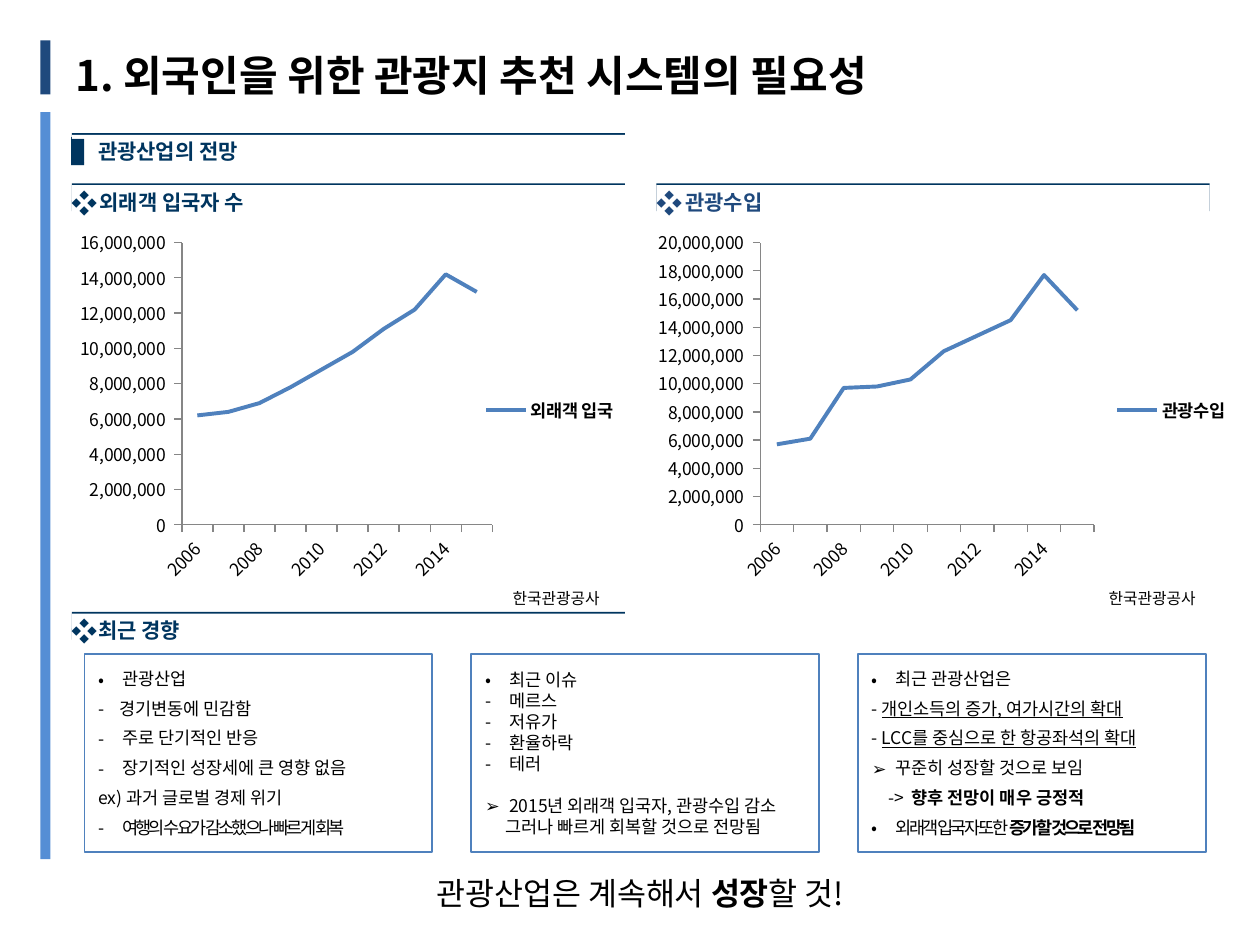
from lxml.etree import SubElement
from pptx import Presentation
from pptx.chart.data import CategoryChartData
from pptx.dml.color import RGBColor
from pptx.enum.chart import XL_CHART_TYPE, XL_LEGEND_POSITION, XL_TICK_MARK
from pptx.enum.shapes import MSO_SHAPE
from pptx.enum.text import MSO_ANCHOR, PP_ALIGN
from pptx.oxml.ns import qn
from pptx.util import Inches, Pt

FONT = "Noto Sans CJK KR"
COLORS = {"ink": "000000", "paper": "FFFFFF", "navy": "00355F", "blue": "1F497D",
          "sky": "558ED5", "line": "4F81BD", "axis": "868686"}

TITLE = "1. 외국인을 위한 관광지 추천 시스템의 필요성"
CLOSING = [("관광산업은 계속해서 ", ""), ("성장", "b"), ("할 것!", "")]
SOURCE = "한국관광공사"
SIDE_BARS = [(0.32, 0.43, "blue"), (0.89, 5.93, "sky")]

HEADINGS = [
    (0.57, 1.07, "▌", 0.14, "관광산업의 전망", "navy"),
    (0.57, 1.47, "❖", 0.22, "외래객 입국자 수", "navy"),
    (5.21, 1.47, "❖", 0.23, "관광수입", "blue"),
    (0.57, 4.87, "❖", 0.18, "최근 경향", "navy"),
]

YEARS = [str(year) for year in range(2006, 2016)]
CHARTS = [
    dict(left=0.56, name="외래객 입국", top_value=16_000_000, plot_width=0.53, legend_left=0.70,
         millions=[6.2, 6.4, 6.9, 7.8, 8.8, 9.8, 11.1, 12.2, 14.2, 13.2]),
    dict(left=5.15, name="관광수입", top_value=20_000_000, plot_width=0.57, legend_left=0.79,
         millions=[5.7, 6.1, 9.7, 9.8, 10.3, 12.3, 13.4, 14.5, 17.7, 15.2]),
]

TREND_BOXES = [
    (5, [
        ("•", 0.19, [("관광산업", "")]),
        ("-", 0.17, [("경기변동에 민감함", "")]),
        ("-", 0.19, [("주로 단기적인 반응", "")]),
        ("-", 0.19, [("장기적인 성장세에 큰 영향 없음", "")]),
        ("", 0, [("ex) 과거 글로벌 경제 위기", "")]),
        ("-", 0.19, [("여행의 수요가 감소했으나 빠르게 회복", "t")]),
    ]),
    (0, [
        ("•", 0.19, [("최근 이슈", "")]),
        ("-", 0.19, [("메르스", "")]),
        ("-", 0.19, [("저유가", "")]),
        ("-", 0.19, [("환율하락", "")]),
        ("-", 0.19, [("테러", "")]),
        ("➢", 0.19, [("2015년 외래객 입국자, 관광수입 감소", "")], 12),
        ("", 0.16, [("그러나 빠르게 회복할 것으로 전망됨", "")]),
    ]),
    (5, [
        ("•", 0.19, [("최근 관광산업은", "")]),
        ("", 0, [("- ", ""), ("개인소득의 증가, 여가시간의 확대", "u")]),
        ("", 0, [("- ", ""), ("LCC를 중심으로 한 항공좌석의 확대", "u")]),
        ("➢", 0.19, [("꾸준히 성장할 것으로 보임", "")]),
        ("", 0.13, [("-> ", ""), (" 향후 전망이 매우 긍정적", "b")]),
        ("•", 0.19, [("외래객 입국자 또한 ", "t"), ("증가할 것으로 전망됨", "bt")]),
    ]),
]


def rgb(name):
    return RGBColor.from_string(COLORS[name])


def add_bullet(paragraph, mark, indent, color, scale):
    props = paragraph._p.get_or_add_pPr()
    props.set("marL", str(Inches(indent)))
    if mark:
        props.set("indent", str(-Inches(indent)))
        SubElement(SubElement(props, qn("a:buClr")), qn("a:srgbClr"), val=COLORS[color])
        SubElement(props, qn("a:buSzPct"), val=str(scale * 1000))
        SubElement(props, qn("a:buFont"), typeface=FONT)
        SubElement(props, qn("a:buChar"), char=mark)


def write(shape, lines, size=10, color="ink", bold=False, align=PP_ALIGN.LEFT, anchor=MSO_ANCHOR.TOP,
          insets=(0.1, 0.05, 0.1, 0.05), gap=0, leading=None, bullet_scale=100):
    frame = shape.text_frame
    frame.word_wrap = True
    frame.vertical_anchor = anchor
    frame.margin_left, frame.margin_top, frame.margin_right, frame.margin_bottom = map(Inches, insets)
    for index, (mark, indent, runs, *before) in enumerate(lines):
        paragraph = frame.add_paragraph() if index else frame.paragraphs[0]
        add_bullet(paragraph, mark, indent, color, bullet_scale)
        paragraph.alignment = align
        if leading:
            paragraph.line_spacing = Pt(leading)
        if index:
            paragraph.space_before = Pt(before[0] if before else gap)
        for text, style in runs:
            run = paragraph.add_run()
            run.text = text
            run.font.name, run.font.size = FONT, Pt(size)
            run.font.bold = bold or "b" in style
            run.font.underline = "u" in style
            run.font.color.rgb = rgb(color)
            SubElement(run.font._element, qn("a:ea"), typeface=FONT)
            if "t" in style:
                run.font._element.set("spc", "-150")


def add_box(slide, left, top, width, height, fill=None, outline=None):
    box = slide.shapes.add_shape(MSO_SHAPE.RECTANGLE, *map(Inches, (left, top, width, height)))
    box.shadow.inherit = False
    if fill:
        box.fill.solid()
        box.fill.fore_color.rgb = rgb(fill)
    else:
        box.fill.background()
    if outline:
        box.line.color.rgb = rgb(outline)
        box.line.width = Pt(1)
    else:
        box.line.fill.background()
    return box


def add_text(slide, left, top, width, height, runs, **style):
    text_box = slide.shapes.add_textbox(*map(Inches, (left, top, width, height)))
    write(text_box, [("", 0, runs)], **style)


def add_heading(slide, left, top, mark, indent, text, color):
    heading = add_box(slide, left, top, 4.39, 0.22, fill="paper")
    effects = heading._element.spPr.find(qn("a:effectLst"))
    shadow = SubElement(effects, qn("a:outerShdw"), dist=str(Pt(1)), dir="16200000",
                        algn="ctr", rotWithShape="0")
    SubElement(shadow, qn("a:srgbClr"), val=COLORS["navy"])
    write(heading, [(mark, indent, [(text, "")])], size=12, color=color, bold=True,
          anchor=MSO_ANCHOR.MIDDLE, insets=(0, 0.04, 0, 0), bullet_scale=125)


def set_layout(element, position, **fractions):
    for old_layout in element.findall(qn("c:layout")):
        element.remove(old_layout)
    layout = SubElement(element, qn("c:layout"))
    element.insert(position, layout)
    manual = SubElement(layout, qn("c:manualLayout"))
    if "w" in fractions:
        SubElement(manual, qn("c:layoutTarget"), val="inner")
    for side in "xy":
        SubElement(manual, qn(f"c:{side}Mode"), val="edge")
    for side, value in fractions.items():
        SubElement(manual, qn(f"c:{side}"), val=str(value))


def add_line_chart(slide, left, name, top_value, plot_width, legend_left, millions):
    data = CategoryChartData()
    data.categories = YEARS
    data.add_series(name, [round(value * 1_000_000) for value in millions])
    chart = slide.shapes.add_chart(XL_CHART_TYPE.LINE, Inches(left), Inches(1.78),
                                   Inches(4.65), Inches(2.91), data).chart
    chart.has_title = False
    chart.font.name, chart.font.size, chart.font.color.rgb = FONT, Pt(10), rgb("ink")
    chart.plots[0].vary_by_categories = False
    series = chart.plots[0].series[0]
    series.smooth = False
    series.format.line.color.rgb = rgb("line")
    series.format.line.width = Pt(2.25)
    for axis in (chart.category_axis, chart.value_axis):
        axis.has_major_gridlines = False
        axis.major_tick_mark = XL_TICK_MARK.OUTSIDE
        axis.minor_tick_mark = XL_TICK_MARK.NONE
        axis.format.line.color.rgb = rgb("axis")
        axis.tick_labels.font.size = Pt(10)
    chart.category_axis._element.txPr.find(qn("a:bodyPr")).set("rot", "-2700000")
    values = chart.value_axis
    values.minimum_scale, values.maximum_scale, values.major_unit = 0, top_value, 2_000_000
    values.tick_labels.number_format = "#,##0_);[Red]\\(#,##0\\)"
    values.tick_labels.number_format_is_linked = False
    chart.has_legend = True
    chart.legend.position = XL_LEGEND_POSITION.RIGHT
    chart.legend.include_in_layout = False
    chart.legend.font.bold = True
    chart.legend.font.size = Pt(10)
    set_layout(chart._chartSpace.chart.plotArea, 0, x=0.19, y=0.05, w=plot_width, h=0.77)
    set_layout(chart.legend._element, 1, x=legend_left, y=0.46)


def main():
    """Build the slide on the outlook for the tourism industry."""
    deck = Presentation()
    deck.slide_width, deck.slide_height = Inches(10), Inches(7.5)
    slide = deck.slides.add_slide(deck.slide_layouts[6])
    add_text(slide, 0.5, 0.3, 9, 0.59, [(TITLE, "")], size=24, bold=True, anchor=MSO_ANCHOR.MIDDLE)
    for top, height, color in SIDE_BARS:
        add_box(slide, 0.32, top, 0.08, height, fill=color)
    for chart in CHARTS:
        add_line_chart(slide, **chart)
    for heading in HEADINGS:
        add_heading(slide, *heading)
    for column, (gap, lines) in enumerate(TREND_BOXES):
        box = add_box(slide, 0.67 + column * 3.07, 5.19, 2.76, 1.57, outline="line")
        write(box, lines, anchor=MSO_ANCHOR.MIDDLE, insets=(0.11, 0.05, 0.11, 0.05), gap=gap, leading=12)
    for left in (3.97, 8.7):
        add_text(slide, left, 4.62, 1.34, 0.25, [(SOURCE, "")], size=9)
    add_text(slide, 1.77, 6.89, 6.62, 0.4, CLOSING, size=18, align=PP_ALIGN.CENTER)
    deck.save("out.pptx")


if __name__ == "__main__":
    main()
